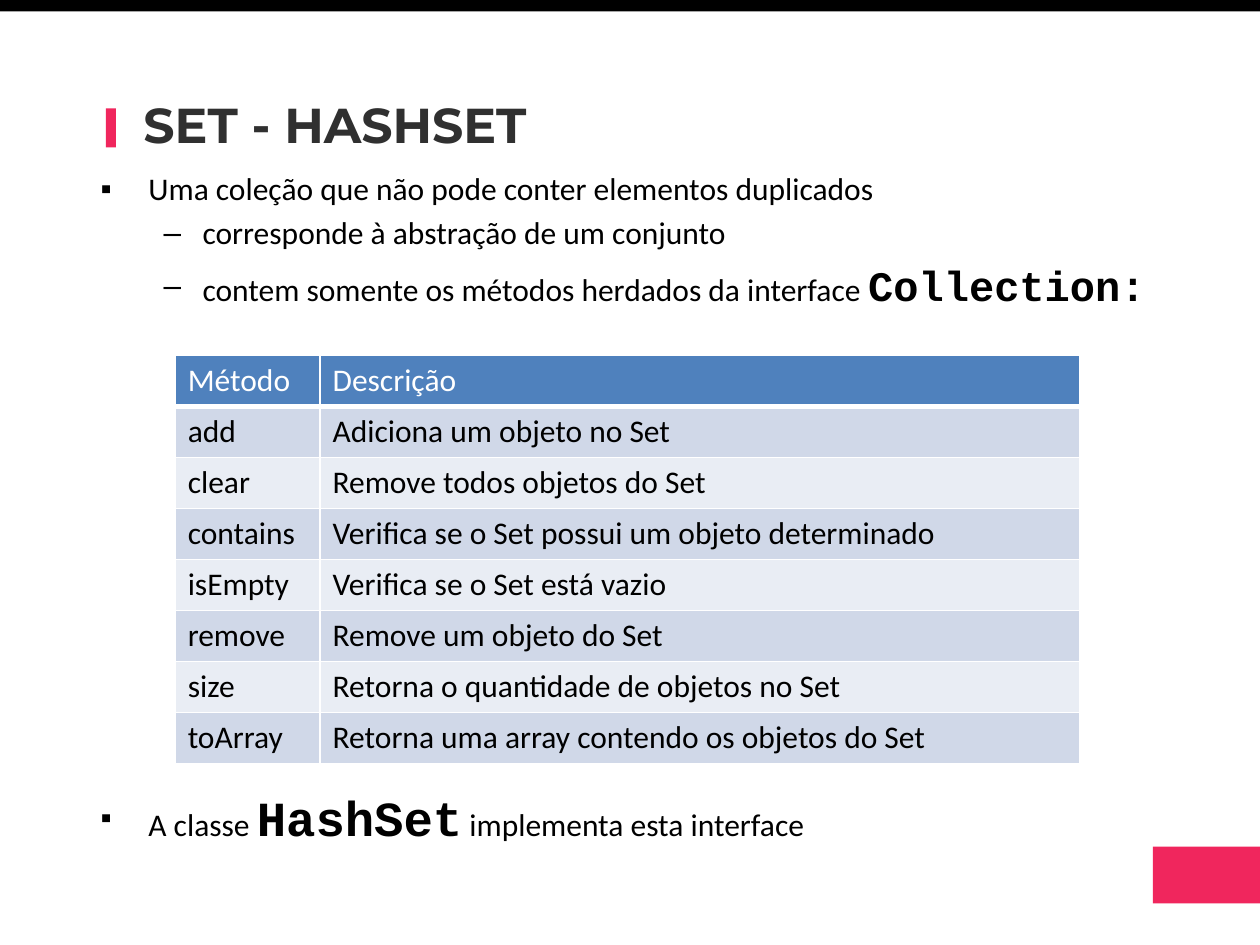
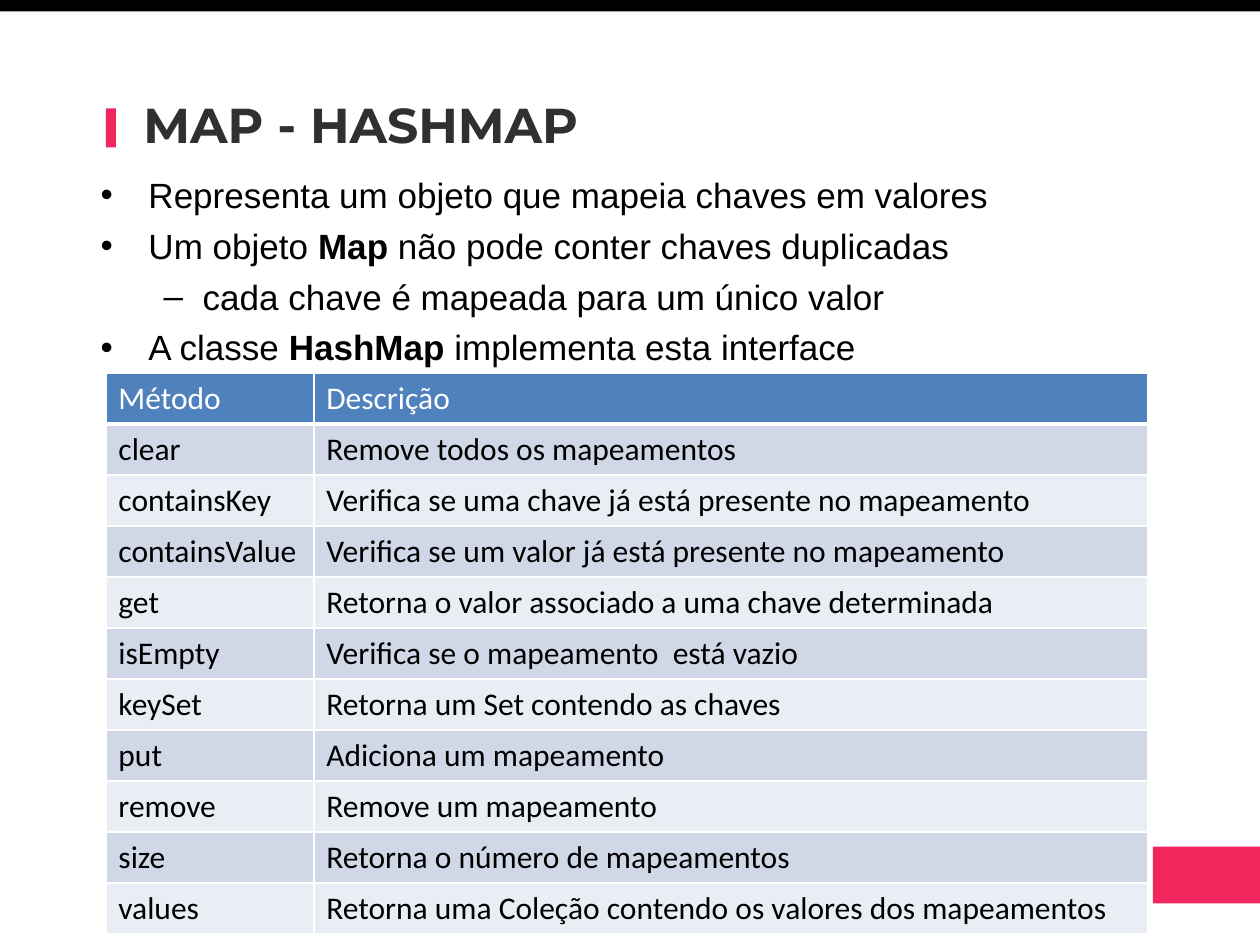
from lxml.etree import SubElement
from pptx import Presentation
from pptx.dml.color import RGBColor
from pptx.enum.shapes import MSO_SHAPE
from pptx.enum.text import MSO_AUTO_SIZE, PP_ALIGN
from pptx.oxml.ns import qn
from pptx.util import Inches, Pt

PINK, BLACK, WHITE, TITLE_GREY = "F0265D", "000000", "FFFFFF", "303030"
HEADER_FILL, BAND_FILLS = "4F81BD", ("D0D8E8", "E9EDF4")
ROW_H = 3.24 / 8
BODY_LEFT, BODY_TOP = 0.7, 1.33
HEADER = ("Método", "Descrição")

# Left, top, width, height and colour of the parts on every slide
BANDS = [
    (9.15, 6.72, 0.86, 0.45, PINK),
    (0.84, 0.86, 0.08, 0.31, PINK),
    (0, 0, 10, 0.09, BLACK),
]

# Left margin and hanging indent of each list level
INDENTS = [(0.38, -0.38), (0.81, -0.31)]

# Run styles: font, size, bold
PLAIN = ("Calibri", 18, False)
CODE = ("Courier New", 24, True)
BIG_CODE = ("Courier New", 28, True)
ARIAL = ("Arial", 20, False)
ARIAL_BOLD = ("Arial", 20, True)

# A list has a box (left, top, width, height), line spacing and items;
# an item has level, bullet, space before in points and runs.
SLIDES = [
    {
        "title": "SET - HASHSET",
        "lists": [
            ((BODY_LEFT, BODY_TOP, 9.2, 1.3), 0.9, [
                (0, "▪", 5.4, [("Uma coleção que não pode conter elementos duplicados", PLAIN)]),
                (1, "–", 5.4, [("corresponde à abstração de um conjunto", PLAIN)]),
                (1, "–", 8, [("contem somente os métodos herdados da interface ", PLAIN),
                             ("Collection:", CODE)]),
            ]),
            ((BODY_LEFT, 6.25, 8.4, 0.5), 0.9, [
                (0, "▪", 0, [("A classe ", PLAIN), ("HashSet", BIG_CODE),
                             (" implementa esta interface", PLAIN)]),
            ]),
        ],
        "table_at": (1.39, 2.82),
        "columns": (1.15, 6.03),
        "methods": [
            ("add", "Adiciona um objeto no Set"),
            ("clear", "Remove todos objetos do Set"),
            ("contains", "Verifica se o Set possui um objeto determinado"),
            ("isEmpty", "Verifica se o Set está vazio"),
            ("remove", "Remove um objeto do Set"),
            ("size", "Retorna o quantidade de objetos no Set"),
            ("toArray", "Retorna uma array contendo os objetos do Set"),
        ],
    },
    {
        "title": "MAP - HASHMAP",
        "lists": [
            ((BODY_LEFT, BODY_TOP, 8.45, 1.6), 1.0, [
                (0, "•", 5, [("Representa um objeto que mapeia chaves em valores", ARIAL)]),
                (0, "•", 5, [("Um objeto ", ARIAL), ("Map", ARIAL_BOLD),
                             (" não pode conter chaves duplicadas", ARIAL)]),
                (1, "–", 5, [("cada chave é mapeada para um único valor", ARIAL)]),
                (0, "•", 5, [("A classe ", ARIAL), ("HashMap", ARIAL_BOLD),
                             (" implementa esta interface", ARIAL)]),
            ]),
        ],
        "table_at": (0.84, 2.96),
        "columns": (1.65, 6.62),
        "methods": [
            ("clear", "Remove todos os mapeamentos"),
            ("containsKey", "Verifica se uma chave já está presente no mapeamento"),
            ("containsValue", "Verifica se um valor já está presente no mapeamento"),
            ("get", "Retorna o valor associado a uma chave determinada"),
            ("isEmpty", "Verifica se o mapeamento  está vazio"),
            ("keySet", "Retorna um Set contendo as chaves"),
            ("put", "Adiciona um mapeamento"),
            ("remove", "Remove um mapeamento"),
            ("size", "Retorna o número de mapeamentos"),
            ("values", "Retorna uma Coleção contendo os valores dos mapeamentos"),
        ],
    },
]


def rgb(color):
    return RGBColor.from_string(color)


def paint(fill, color):
    fill.solid()
    fill.fore_color.rgb = rgb(color)


def add_run(p, text, style, color=BLACK):
    r = p.add_run()
    r.text = text
    r.font.name, size, r.font.bold = style
    r.font.size = Pt(size)
    r.font.color.rgb = rgb(color)


def add_box(s, box):
    tf = s.shapes.add_textbox(*map(Inches, box)).text_frame
    tf.word_wrap = True
    return tf


def add_bands(s):
    for *box, color in BANDS:
        sp = s.shapes.add_shape(MSO_SHAPE.RECTANGLE, *map(Inches, box))
        sp.shadow.inherit = False
        paint(sp.fill, color)
        sp.line.fill.background()


def add_title(s, title):
    tf = add_box(s, (1.04, 0.75, 8.05, 0.53))
    tf.auto_size = MSO_AUTO_SIZE.SHAPE_TO_FIT_TEXT
    p = tf.paragraphs[0]
    p.line_spacing = 0.9
    add_run(p, title, ("Montserrat", 28, True), TITLE_GREY)


def set_bullet(p, level, bullet):
    p.level = level
    pPr = p._p.get_or_add_pPr()
    for name, length in zip(("marL", "indent"), INDENTS[level]):
        pPr.set(name, str(Inches(length)))
    SubElement(pPr, qn("a:buFont"), typeface="Arial")
    SubElement(pPr, qn("a:buChar"), char=bullet)


def add_list(s, box, spacing, items):
    tf = add_box(s, box)
    for i, (level, bullet, before, runs) in enumerate(items):
        p = tf.add_paragraph() if i else tf.paragraphs[0]
        p.alignment = PP_ALIGN.JUSTIFY
        p.line_spacing = spacing
        p.space_before = Pt(before)
        set_bullet(p, level, bullet)
        for text, style in runs:
            add_run(p, text, style)


def set_borders(cell, bottom):
    tcPr = cell._tc.get_or_add_tcPr()
    for side, width in (("L", 1), ("R", 1), ("T", 1), ("B", bottom)):
        ln = SubElement(tcPr, qn(f"a:ln{side}"), w=str(Pt(width)))
        SubElement(SubElement(ln, qn("a:solidFill")), qn("a:srgbClr"), val=WHITE)


def add_methods(s, at, columns, methods):
    rows = [HEADER, *methods]
    size = (sum(columns), ROW_H * len(rows))
    table = s.shapes.add_table(len(rows), len(columns), *map(Inches, at + size)).table
    table.horz_banding = False
    for column, width in zip(table.columns, columns):
        column.width = Inches(width)
    for i, row in enumerate(rows):
        fill = BAND_FILLS[(i - 1) % 2] if i else HEADER_FILL
        for j, text in enumerate(row):
            cell = table.cell(i, j)
            set_borders(cell, 1 if i else 3)
            paint(cell.fill, fill)
            add_run(cell.text_frame.paragraphs[0], text, PLAIN, BLACK if i else WHITE)


def main():
    prs = Presentation()
    prs.slide_width, prs.slide_height = Inches(10), Inches(7.5)
    for content in SLIDES:
        s = prs.slides.add_slide(prs.slide_layouts[6])
        add_bands(s)
        add_title(s, content["title"])
        for box, spacing, items in content["lists"]:
            add_list(s, box, spacing, items)
        add_methods(s, content["table_at"], content["columns"], content["methods"])
    prs.save("out.pptx")


if __name__ == "__main__":
    main()
